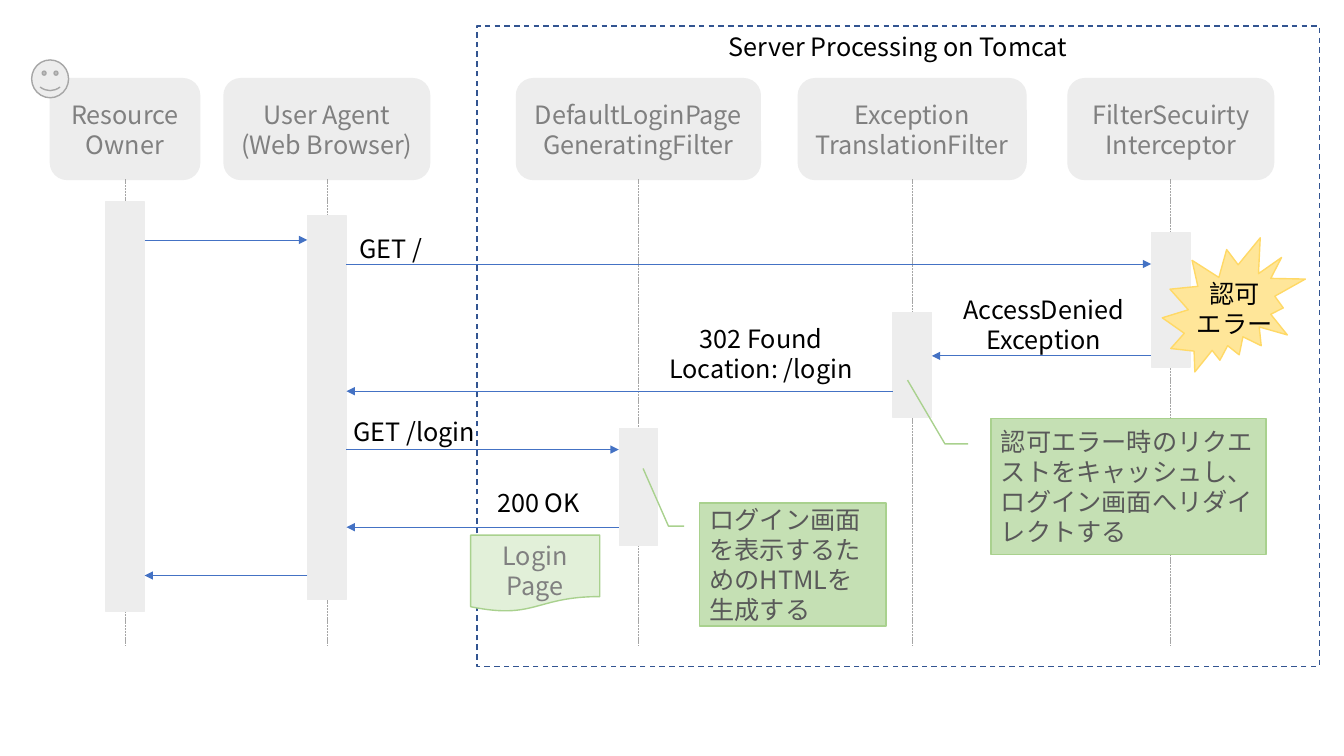
from lxml import etree
from pptx import Presentation
from pptx import util as u
from pptx.dml import color
from pptx.enum import dml, shapes, text
from pptx.oxml import ns

Pt = u.Pt
SHAPE = shapes.MSO_SHAPE
ALIGN = text.PP_ALIGN
ANCHOR = text.MSO_ANCHOR
DASH = dml.MSO_LINE
FONT = "Noto Sans CJK JP"
C = {
    "box": "EDEDED", "muted": "808080", "rule": "A6A6A6", "frame": "325491",
    "arrow": "4472C4", "ink": "000000", "burst": "FFE699", "burst_edge": "FFD966",
    "page": "E2F0D9", "note": "C5E0B4", "note_edge": "A9D18E", "note_ink": "595959",
}
HEAD_TOP, HEAD_H = 56.2, 72
LIFELINE_END = 461.5
BAR_W = 27.4
ARROW_GAP = 14

PARTICIPANTS = {
    "owner": (89.3, 106.6, ["Resource", "Owner"], 144, 293),
    "agent": (233.5, 146.9, ["User Agent", "(Web Browser)"], 154.1, 274.3),
    "login": (456, 174.2, ["DefaultLoginPage", "GeneratingFilter"], 306, 83.5),
    "exception": (651.6, 162.7, ["Exception", "TranslationFilter"], 223.2, 74.9),
    "security": (836.3, 146.9, ["FilterSecuirty", "Interceptor"], 166.3, 95.8),
}
MESSAGES = [
    ("owner", "agent", 171.4), ("agent", "security", 188.6),
    ("security", "exception", 254.2), ("exception", "agent", 279.4),
    ("agent", "login", 321.1), ("login", "agent", 376.6), ("agent", "owner", 411.1),
]
LABELS = [
    (249.8, 163.4, 64.8, 28.8, ["GET /"], ALIGN.LEFT),
    (679, 206.6, 133.2, 51.1, ["AccessDenied", "Exception"], ALIGN.CENTER),
    (847.4, 195.1, 69.1, 51.1, ["認可", "エラー"], ALIGN.CENTER),
    (470.2, 227.5, 146.9, 51.1, ["302 Found", "Location: /login"], ALIGN.CENTER),
    (245.5, 293.8, 105.1, 28.8, ["GET /login"], ALIGN.LEFT),
    (347, 344.9, 75.6, 28.8, ["200 OK"], ALIGN.CENTER),
]
NOTES = [
    (707.8, 298.8, 196.6, 97.2, "認可エラー時のリクエストをキャッシュし、ログイン画面へリダイレクトする"),
    (499.7, 359.3, 133.2, 87.8, "ログイン画面を表示するためのHTMLを生成する"),
]
NOTE_POINTER = [0.188, -0.083, 0.188, -0.167, -0.281, -0.303]


def rgb(name):
    return color.RGBColor.from_string(C[name])


def apply(target, values):
    for name, value in values.items():
        setattr(target, name, value)


def write(tf, lines, ink, align=ALIGN.CENTER, **frame):
    apply(tf, {"word_wrap": True, "vertical_anchor": ANCHOR.MIDDLE, **frame})
    for i, line in enumerate(lines):
        p = tf.paragraphs[0] if i == 0 else tf.add_paragraph()
        apply(p, {"alignment": align, "line_spacing": Pt(21.6)})
        r = p.add_run()
        r.text = line
        apply(r.font, {"size": Pt(18), "name": FONT})
        r.font.color.rgb = rgb(ink)
        ea = etree.SubElement(r.font._element, ns.qn("a:ea"))
        ea.set("typeface", FONT)


def add_box(s, kind, at, fill, edge):
    sp = s.shapes.add_shape(kind, *map(Pt, at))
    sp.shadow.inherit = False
    if fill:
        sp.fill.solid()
        sp.fill.fore_color.rgb = rgb(fill)
    else:
        sp.fill.background()
    sp.line.color.rgb = rgb(edge)
    sp.line.width = Pt(1)
    return sp


def add_line(s, start, end, ink):
    line = s.shapes.add_connector(shapes.MSO_CONNECTOR.STRAIGHT, *map(Pt, start + end))
    line.line.color.rgb = rgb(ink)
    line.line.width = Pt(0.5)
    etree.SubElement(line._element.spPr, ns.qn("a:effectLst"))
    return line


def add_head(s, center, width, lines):
    at = (center - width / 2, HEAD_TOP, width, HEAD_H)
    sp = add_box(s, SHAPE.ROUNDED_RECTANGLE, at, "box", "box")
    write(sp.text_frame, lines, "muted")


def add_lifeline(s, center):
    line = add_line(s, (center, HEAD_TOP + HEAD_H), (center, LIFELINE_END), "rule")
    line.line.dash_style = DASH.SQUARE_DOT


def add_message(s, source, target, y):
    x1, x2 = PARTICIPANTS[source][0], PARTICIPANTS[target][0]
    gap = ARROW_GAP if x2 > x1 else -ARROW_GAP
    line = add_line(s, (x1 + gap, y), (x2 - gap, y), "arrow")
    tail = etree.SubElement(line.line._get_or_add_ln(), ns.qn("a:tailEnd"))
    tail.set("type", "triangle")


def add_label(s, x, y, w, h, lines, align):
    tf = s.shapes.add_textbox(*map(Pt, (x, y, w, h))).text_frame
    write(tf, lines, "ink", align, word_wrap=False, vertical_anchor=ANCHOR.TOP,
          auto_size=text.MSO_AUTO_SIZE.SHAPE_TO_FIT_TEXT)


def add_note(s, x, y, w, h, words):
    sp = add_box(s, SHAPE.LINE_CALLOUT_2, (x, y, w, h), "note", "note_edge")
    for i, value in enumerate(NOTE_POINTER):
        sp.adjustments[i] = value
    write(sp.text_frame, [words], "note_ink", ALIGN.LEFT)


def main():
    prs = Presentation()
    apply(prs, {"slide_width": Pt(960), "slide_height": Pt(540)})
    s = prs.slides.add_slide(prs.slide_layouts[6])

    for center, width, lines, _, _ in PARTICIPANTS.values():
        add_head(s, center, width, lines)
        add_lifeline(s, center)
    add_box(s, SHAPE.SMILEY_FACE, (22.6, 42.8, 26.4, 27), "box", "rule")

    frame = add_box(s, SHAPE.RECTANGLE, (340.6, 18.7, 601.9, 457.2), None, "frame")
    frame.line.dash_style = DASH.DASH
    write(frame.text_frame, ["Server Processing on Tomcat"], "ink",
          vertical_anchor=ANCHOR.TOP)

    for center, _, _, top, height in PARTICIPANTS.values():
        add_box(s, SHAPE.RECTANGLE, (center - BAR_W / 2, top, BAR_W, height), "box", "box")
    for message in MESSAGES:
        add_message(s, *message)

    add_box(s, SHAPE.EXPLOSION2, (830.2, 169.9, 102.2, 95.8), "burst", "burst_edge")
    for label in LABELS:
        add_label(s, *label)
    page = add_box(s, SHAPE.FLOWCHART_DOCUMENT, (336.2, 382.3, 92.2, 54.7),
                   "page", "note_edge")
    write(page.text_frame, ["Login", "Page"], "muted", vertical_anchor=ANCHOR.TOP)
    for note in NOTES:
        add_note(s, *note)

    prs.save("out.pptx")


if __name__ == "__main__":
    main()
